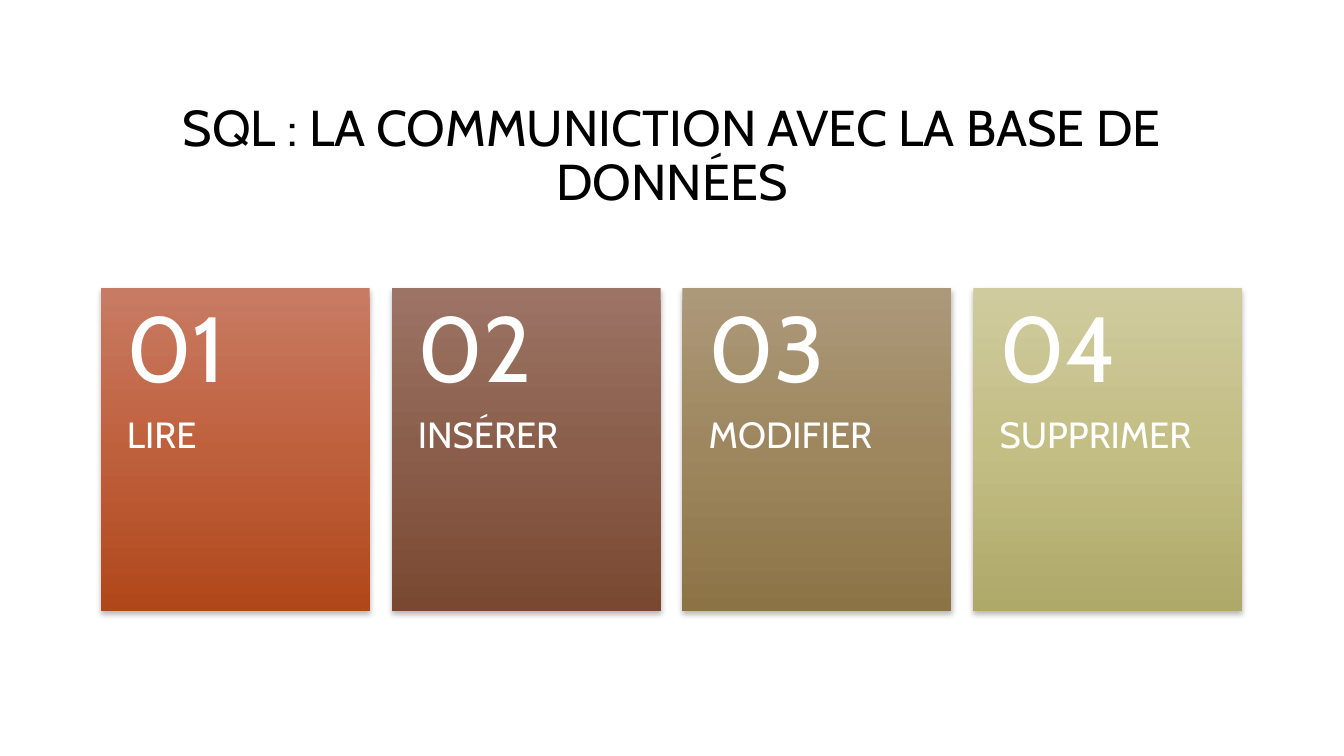
from copy import deepcopy

from lxml import etree
from pptx import Presentation
from pptx.dml.color import RGBColor
from pptx.enum.shapes import MSO_SHAPE
from pptx.enum.text import MSO_ANCHOR, MSO_AUTO_SIZE, PP_ALIGN
from pptx.oxml.ns import qn
from pptx.util import Cm, Pt

RECTANGLE = MSO_SHAPE.RECTANGLE
TOP, MIDDLE = MSO_ANCHOR.TOP, MSO_ANCHOR.MIDDLE
LEFT, CENTER = PP_ALIGN.LEFT, PP_ALIGN.CENTER
NO_AUTOFIT = MSO_AUTO_SIZE.NONE

FONT = "Cabin"
BLACK = RGBColor(0x00, 0x00, 0x00)
WHITE = RGBColor(0xFF, 0xFF, 0xFF)
RUST = [RGBColor(0xC8, 0x7B, 0x64), RGBColor(0xBF, 0x60, 0x3D), RGBColor(0xB0, 0x47, 0x1A)]
BROWN = [RGBColor(0x9C, 0x74, 0x65), RGBColor(0x8A, 0x5E, 0x4B), RGBColor(0x7A, 0x48, 0x31)]
BRONZE = [RGBColor(0xAC, 0x99, 0x7A), RGBColor(0x9E, 0x87, 0x5F), RGBColor(0x8C, 0x73, 0x46)]
OLIVE = [RGBColor(0xCF, 0xCB, 0x9E), RGBColor(0xC3, 0xBE, 0x84), RGBColor(0xAE, 0xA8, 0x69)]

OPERATIONS = [("LIRE", RUST), ("INSÉRER", BROWN), ("MODIFIER", BRONZE), ("SUPPRIMER", OLIVE)]

# Card grid, in centimetres
MARGIN, CARD_TOP = 2.54, 7.26
CARD_WIDTH, CARD_HEIGHT, CARD_PITCH = 6.78, 8.14, 7.33
NUMBER_HEIGHT = 3.25


def write_text(frame, text, size, color=WHITE, align=LEFT, anchor=TOP, insets=None):
    """Fill a text frame with one formatted paragraph; insets are in cm."""
    frame.word_wrap = True
    frame.auto_size = NO_AUTOFIT
    frame.vertical_anchor = anchor
    if insets:
        (frame.margin_left, frame.margin_top,
         frame.margin_right, frame.margin_bottom) = map(Cm, insets)
    paragraph = frame.paragraphs[0]
    paragraph.alignment = align
    paragraph.line_spacing = 0.9
    run = paragraph.add_run()
    run.text = text
    run.font.name = FONT
    run.font.size = Pt(size)
    run.font.color.rgb = color


def add_shadow(shape):
    """Give the shape a soft shadow falling straight down."""
    shape.shadow.inherit = False
    effects = shape._element.spPr.find(qn("a:effectLst"))
    shadow = etree.SubElement(effects, qn("a:outerShdw"), blurRad=str(Pt(4)),
                              dist=str(Pt(2)), dir="5400000", rotWithShape="0")
    black = etree.SubElement(shadow, qn("a:srgbClr"), val=str(BLACK))
    etree.SubElement(black, qn("a:alpha"), val="28000")


def fill_gradient(shape, colors):
    """Fill the shape from top to bottom with three evenly spaced colours."""
    shape.fill.gradient()
    shape.fill.gradient_angle = 270
    stops = shape._element.spPr.find(".//" + qn("a:gsLst"))
    stops.insert(1, deepcopy(stops[0]))
    for index, (stop, color) in enumerate(zip(shape.fill.gradient_stops, colors)):
        stop.position = index / 2
        stop.color.rgb = color


def add_label(slide, text, left, top, height, **text_format):
    box = slide.shapes.add_textbox(Cm(left), Cm(top), Cm(CARD_WIDTH), Cm(height))
    write_text(box.text_frame, text, **text_format)


def add_card(slide, index, operation, colors):
    left = MARGIN + index * CARD_PITCH
    card = slide.shapes.add_shape(RECTANGLE, Cm(left), Cm(CARD_TOP),
                                  Cm(CARD_WIDTH), Cm(CARD_HEIGHT))
    card.line.fill.background()
    fill_gradient(card, colors)
    add_shadow(card)
    add_label(slide, operation, left, CARD_TOP + NUMBER_HEIGHT,
              CARD_HEIGHT - NUMBER_HEIGHT, size=26, insets=(0.66, 0, 0.66, 0.91))
    add_label(slide, f"{index + 1:02}", left, CARD_TOP, NUMBER_HEIGHT,
              size=66, anchor=MIDDLE, insets=(0.66, 0.46, 0.66, 0.46))


def add_title(slide, text):
    title = slide.shapes.title
    title.left, title.top = Cm(MARGIN), Cm(1.73)
    title.width, title.height = Cm(28.78), Cm(4.45)
    write_text(title.text_frame, text, size=36, color=BLACK, align=CENTER, anchor=MIDDLE)


def main():
    presentation = Presentation()
    presentation.slide_width, presentation.slide_height = Cm(33.87), Cm(19.05)
    title_only = presentation.slide_layouts[5]
    slide = presentation.slides.add_slide(title_only)

    # Heading
    add_title(slide, "SQL : LA COMMUNICTION AVEC LA BASE DE DONNÉES")

    # One numbered card per operation
    for index, (operation, colors) in enumerate(OPERATIONS):
        add_card(slide, index, operation, colors)

    presentation.save("out.pptx")


if __name__ == "__main__":
    main()
